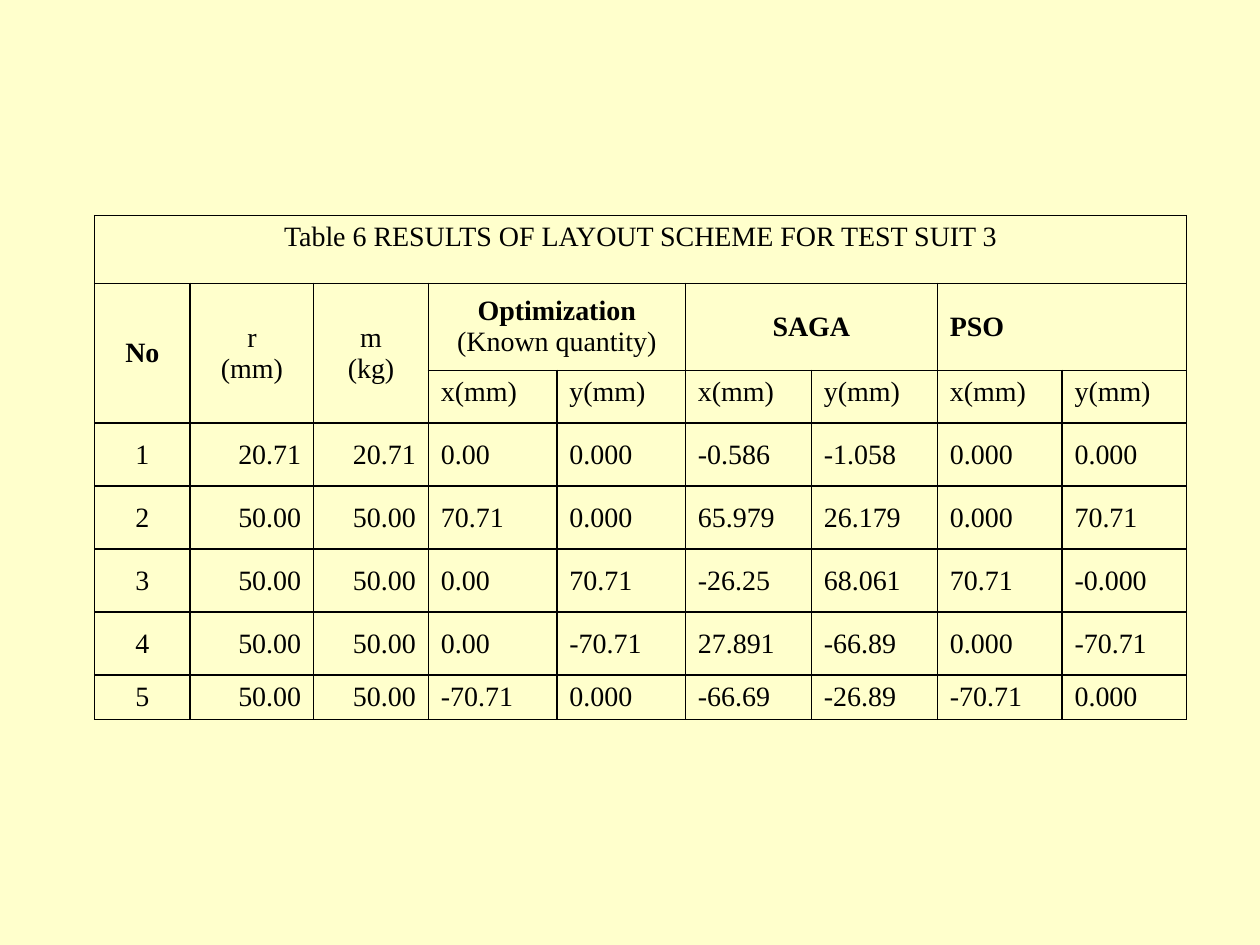
"""Build the slide with the table of layout results for test suit 3."""
from lxml import etree
from pptx import Presentation, util as u
from pptx.dml.color import RGBColor
from pptx.enum import text
from pptx.oxml.ns import qn

CREAM = RGBColor(0xFF, 0xFF, 0xCC)
BLACK = RGBColor(0, 0, 0)
FONT = "Times New Roman"
COLUMNS = [0.76, 0.98, 0.91, 1.02, 1.02, 1, 1, 0.99, 0.99]
ROWS = [0.54, 0.69, 0.42, 0.5, 0.5, 0.5, 0.5, 0.35]
LEFT, CENTER, RIGHT = text.PP_ALIGN.LEFT, text.PP_ALIGN.CENTER, text.PP_ALIGN.RIGHT

TITLE = "Table 6 RESULTS OF LAYOUT SCHEME FOR TEST SUIT 3"
HEADINGS = ["No", "r\n(mm)", "m\n(kg)", "Optimization\n(Known quantity)", "", "SAGA", "", "PSO", ""]
BOLD = {"No", "Optimization", "SAGA", "PSO"}
RESULTS = [
    ["1", "20.71", "20.71", "0.00", "0.000", "-0.586", "-1.058", "0.000", "0.000"],
    ["2", "50.00", "50.00", "70.71", "0.000", "65.979", "26.179", "0.000", "70.71"],
    ["3", "50.00", "50.00", "0.00", "70.71", "-26.25", "68.061", "70.71", "-0.000"],
    ["4", "50.00", "50.00", "0.00", "-70.71", "27.891", "-66.89", "0.000", "-70.71"],
    ["5", "50.00", "50.00", "-70.71", "0.000", "-66.69", "-26.89", "-70.71", "0.000"],
]
LINES = [[TITLE] + [""] * 8, HEADINGS, [""] * 3 + ["x(mm)", "y(mm)"] * 3] + RESULTS


def draw_borders(cell, width):
    properties = cell._tc.get_or_add_tcPr()
    for side in ("lnL", "lnR", "lnT", "lnB"):
        line = etree.SubElement(properties, qn(f"a:{side}"), w=str(u.Pt(width)))
        fill = etree.SubElement(line, qn("a:solidFill"))
        etree.SubElement(fill, qn("a:srgbClr"), val=str(BLACK))


def alignment(row, column):
    if row == 0 or column == 0 or (row == 1 and column < 7):
        return CENTER
    return RIGHT if row > 2 and column < 3 else LEFT


deck = Presentation()
deck.slide_width, deck.slide_height = u.Inches(10), u.Inches(7.5)
slide = deck.slides.add_slide(deck.slide_layouts[6])
slide.background.fill.solid()
slide.background.fill.fore_color.rgb = CREAM

results = slide.shapes.add_table(
    len(ROWS), len(COLUMNS), u.Inches(0.75), u.Inches(1.71),
    u.Inches(sum(COLUMNS)), u.Inches(sum(ROWS))).table
results.first_row = results.horz_banding = False
for column, width in zip(results.columns, COLUMNS):
    column.width = u.Inches(width)
for row, height in zip(results.rows, ROWS):
    row.height = u.Inches(height)

results.cell(0, 0).merge(results.cell(0, 8))
for column in range(3):
    results.cell(1, column).merge(results.cell(2, column))
for column in (3, 5, 7):
    results.cell(1, column).merge(results.cell(1, column + 1))

for row, values in enumerate(LINES):
    for column, value in enumerate(values):
        cell = results.cell(row, column)
        draw_borders(cell, 1 if row else 0.75)
        cell.fill.background()
        if row not in (0, 2):
            cell.vertical_anchor = text.MSO_ANCHOR.MIDDLE
        cell.text_frame.text = value
        for paragraph in cell.text_frame.paragraphs:
            paragraph.alignment = alignment(row, column)
            indent = paragraph._p.get_or_add_pPr()
            indent.set("marL", str(u.Inches(0.38)))
            indent.set("indent", str(u.Inches(-0.38)))
            paragraph.font.size = u.Pt(16)
            for run in paragraph.runs:
                run.font.name, run.font.size = FONT, u.Pt(16)
                run.font.bold = run.text in BOLD
                run.font.color.rgb = BLACK

deck.save("out.pptx")
